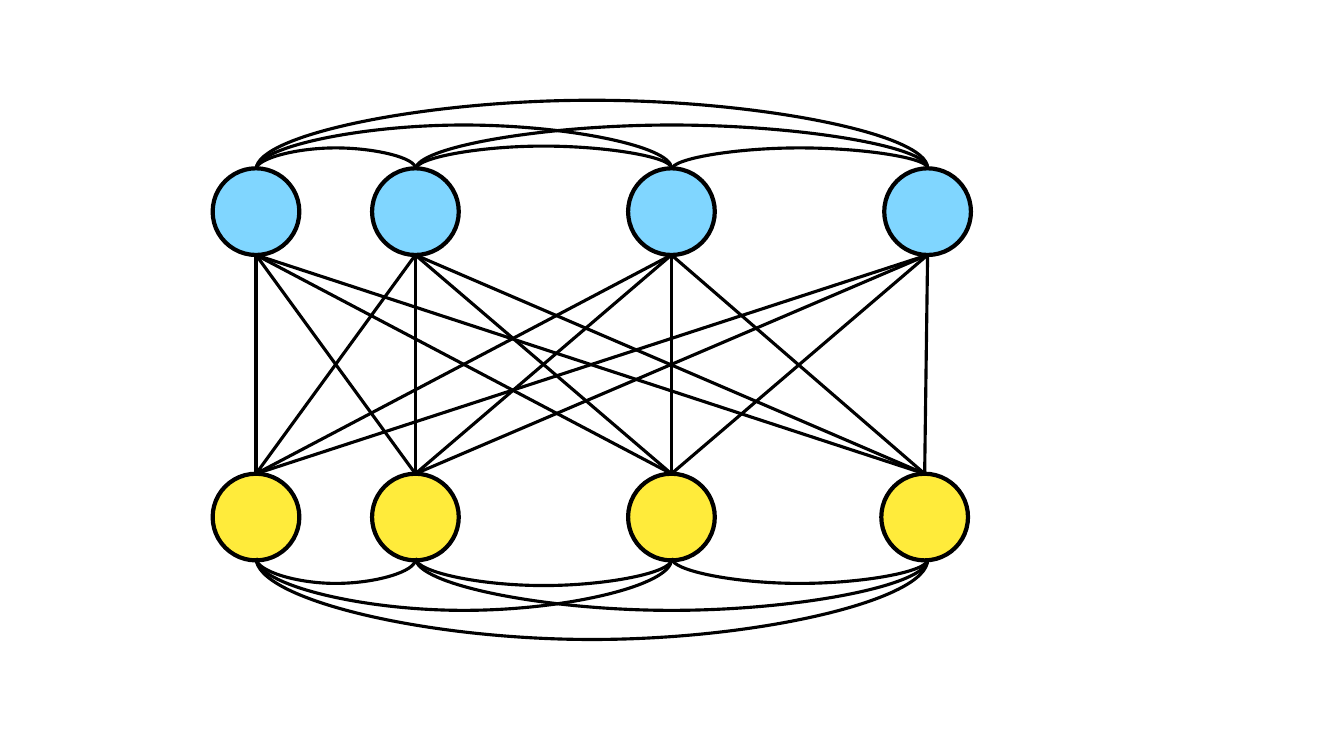
from dataclasses import dataclass
from itertools import product

from lxml.etree import SubElement
from pptx import Presentation
from pptx.dml.color import RGBColor
from pptx.enum.shapes import MSO_CONNECTOR as Link, MSO_SHAPE as Preset
from pptx.oxml.ns import qn
from pptx.shapes.autoshape import Shape
from pptx.shapes.connector import Connector
from pptx.util import Inches, Pt

COLORS = {"upper": "80D6FF", "lower": "FFEB3B", "ink": "000000"}

deck = Presentation()
deck.slide_width, deck.slide_height = Inches(13.33), Inches(7.5)
shapes = deck.slides.add_slide(deck.slide_layouts[6]).shapes


def across(percent: float) -> int:
    return round(deck.slide_width * percent / 100)


def down(percent: float) -> int:
    return round(deck.slide_height * percent / 100)


@dataclass(frozen=True)
class Layer:
    """A row of nodes; lengths are percentages of the slide's size."""
    color: str
    centers: tuple[float, ...]
    middle: float
    arc_base: float
    arc_step: float
    rotation: int
    flips: tuple[str, ...]


@dataclass(frozen=True)
class Arc:
    """Joins two nodes of a layer; bulge counts the layer's arc steps."""
    first: int
    last: int
    bulge: float


DIAMETER = across(6.45)
COLUMNS = (19.05, 30.91, 49.96, 69.02)
UPPER = Layer("upper", COLUMNS, 28, 22.33, 0.18, 90, ("flipH", "flipV"))
LOWER = Layer("lower", (*COLUMNS[:3], 68.8), 68.4, 73.93, 0.21, 270, ("flipH",))
ARCS = (
    Arc(0, 1, 15.96), Arc(0, 2, 32.94), Arc(0, 3, 51.28),
    Arc(1, 2, 17.32), Arc(2, 3, 15.96), Arc(1, 3, 32.94),
)


def draw_node(layer: Layer, center: float) -> Shape:
    node = shapes.add_shape(
        Preset.OVAL, across(center) - DIAMETER // 2,
        down(layer.middle) - DIAMETER // 2, DIAMETER, DIAMETER)
    node.shadow.inherit = False
    node.fill.solid()
    node.fill.fore_color.rgb = RGBColor.from_string(COLORS[layer.color])
    node.line.color.rgb = RGBColor.from_string(COLORS["ink"])
    node.line.width = Pt(3)
    return node


def style_link(link: Connector) -> None:
    link.line.color.rgb = RGBColor.from_string(COLORS["ink"])
    link.line.width = Pt(2.25)
    SubElement(link._element.spPr, qn("a:effectLst"))


def draw_edge(upper: Shape, lower: Shape) -> None:
    edge = shapes.add_connector(
        Link.STRAIGHT, upper.left + upper.width // 2, upper.top + upper.height,
        lower.left + lower.width // 2, lower.top)
    edge.end_connect(lower, 0)
    style_link(edge)


def draw_arc(layer: Layer, arc: Arc) -> None:
    """Turn a thin, tall curve on its side so that it bulges away from the nodes."""
    start, end = across(COLUMNS[arc.first]), across(COLUMNS[arc.last])
    span, step = end - start, down(layer.arc_step)
    left, top = (start + end - step) // 2, down(layer.arc_base) - span // 2
    curve = shapes.add_connector(Link.CURVE, left, top, left + step, top + span)
    frame = curve._element.spPr.find(qn("a:xfrm"))
    frame.set("rot", str(layer.rotation * 60000))
    for flip in layer.flips:
        frame.set(flip, "1")
    adjustments = curve._element.spPr.find(qn("a:prstGeom")).find(qn("a:avLst"))
    SubElement(adjustments, qn("a:gd"), name="adj1",
               fmla=f"val {round(arc.bulge * 100000)}")
    style_link(curve)


upper_nodes, lower_nodes = (
    [draw_node(layer, center) for center in layer.centers]
    for layer in (UPPER, LOWER)
)
for upper_node, lower_node in product(upper_nodes, lower_nodes):
    draw_edge(upper_node, lower_node)
for row, bow in product((UPPER, LOWER), ARCS):
    draw_arc(row, bow)

deck.save("out.pptx")
